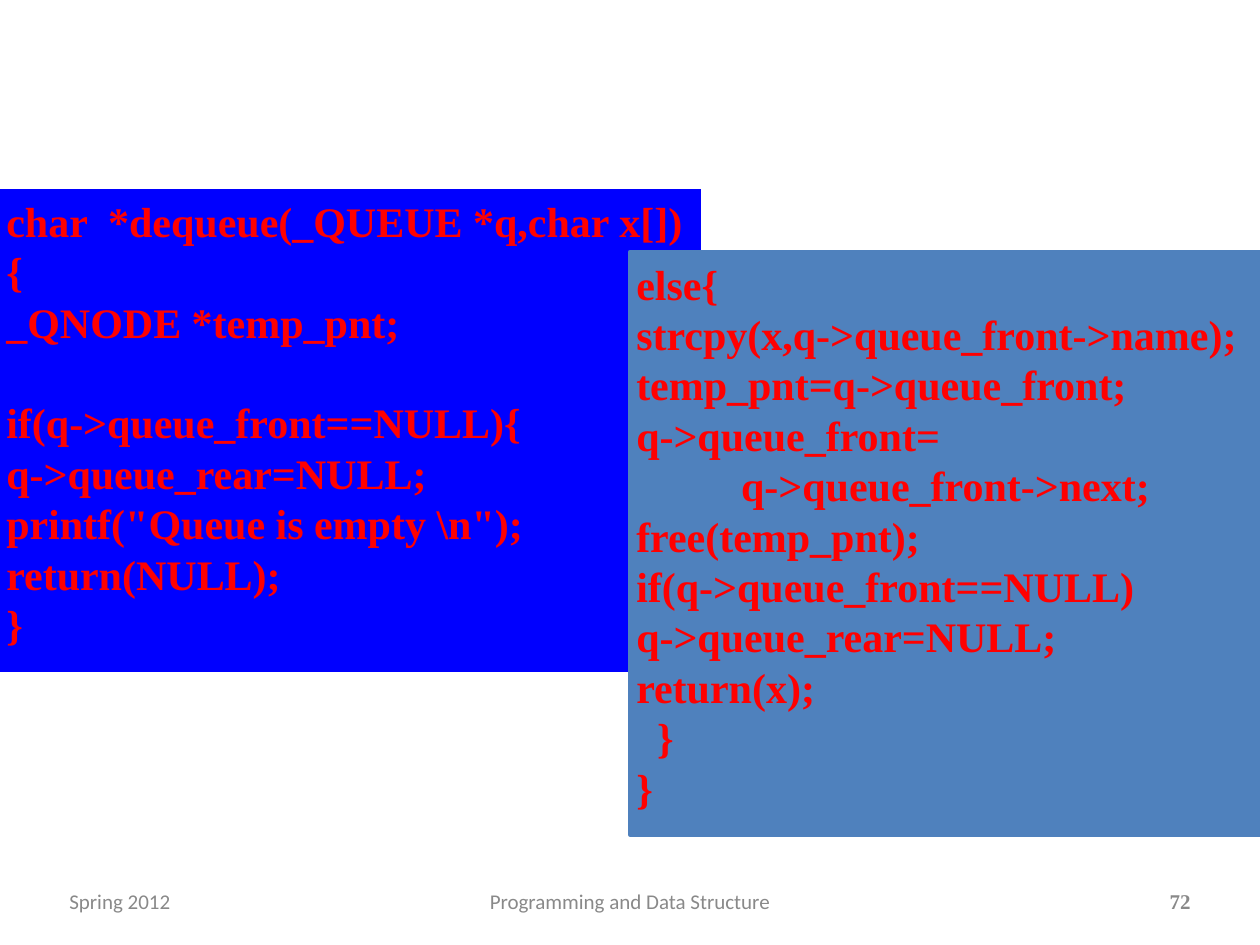
from pptx import Presentation, util as u
from pptx.dml.color import RGBColor
from pptx.enum import shapes, text

Pt = u.Pt
RED = RGBColor(0xFF, 0x00, 0x00)
BLUE = RGBColor(0x00, 0x00, 0xFF)
STEEL = RGBColor(0x4F, 0x81, 0xBD)
GRAY = RGBColor(0x89, 0x89, 0x89)
SERIF, SANS = "Times New Roman", "Calibri"
CODE_SIZE, LINE_PITCH, INSET = 24, 28.8, 3.6
ALIGN, ANCHOR = text.PP_ALIGN, text.MSO_ANCHOR

# Content: an empty string in the code is a one-line gap
DEQUEUE_START = r'''char  *dequeue(_QUEUE *q,char x[])
{
_QNODE *temp_pnt;

if(q->queue_front==NULL){
q->queue_rear=NULL;
printf("Queue is empty \n");
return(NULL);
}'''.split("\n")

DEQUEUE_ELSE = '''else{
strcpy(x,q->queue_front->name);
temp_pnt=q->queue_front;
q->queue_front=
          q->queue_front->next;
free(temp_pnt);
if(q->queue_front==NULL)
q->queue_rear=NULL;
return(x);
  }
}'''.split("\n")

# (left, top, width, height), fill, line width, code
PANELS = [
    ((0, 108, 400.5, 276), BLUE, 0, DEQUEUE_START),
    ((360, 144, 360, 333), STEEL, 2.5, DEQUEUE_ELSE),
]

# text, left, width, alignment, font, bold, wrap
FOOTERS = [
    ("Spring 2012", 36, 168, ALIGN.LEFT, SANS, False, True),
    ("Programming and Data Structure", 246, 228, ALIGN.CENTER, SANS, False, True),
    ("72", 664, 20, ALIGN.RIGHT, SERIF, True, False),
]


def set_frame(frame, anchor, wrap):
    frame.margin_left = frame.margin_right = Pt(INSET)
    frame.margin_top = frame.margin_bottom = Pt(INSET)
    frame.vertical_anchor = anchor
    frame.word_wrap = wrap


def add_span(para, words, font, size, color, bold):
    span = para.add_run()
    span.text = words
    span.font.name, span.font.size, span.font.bold = font, Pt(size), bold
    span.font.color.rgb = color


def add_panel(page, place, fill, line_width, code):
    panel = page.shapes.add_shape(shapes.MSO_SHAPE.RECTANGLE, *map(Pt, place))
    panel.shadow.inherit = False
    panel.fill.solid()
    panel.fill.fore_color.rgb = fill
    if line_width:
        panel.line.color.rgb = fill
        panel.line.width = Pt(line_width)
    else:
        panel.line.fill.background()
    frame = panel.text_frame
    set_frame(frame, ANCHOR.TOP, False)
    gap = 0
    for number, line in enumerate(code):
        if not line:
            gap += LINE_PITCH
            continue
        para = frame.add_paragraph() if number else frame.paragraphs[0]
        para.alignment = ALIGN.LEFT
        para.line_spacing = Pt(LINE_PITCH)
        if gap:
            para.space_before = Pt(gap)
            gap = 0
        add_span(para, line, SERIF, CODE_SIZE, RED, True)


def add_footer(page, words, left, width, align, font, bold, wrap):
    box = page.shapes.add_textbox(Pt(left), Pt(504), Pt(width), Pt(21.5))
    set_frame(box.text_frame, ANCHOR.MIDDLE, wrap)
    para = box.text_frame.paragraphs[0]
    para.alignment = align
    add_span(para, words, font, 12, GRAY, bold)


def main():
    deck = Presentation()
    deck.slide_width, deck.slide_height = Pt(720), Pt(540)
    page = deck.slides.add_slide(deck.slide_layouts[6])
    for footer in FOOTERS:
        add_footer(page, *footer)
    for panel in PANELS:
        add_panel(page, *panel)
    deck.save("out.pptx")


if __name__ == "__main__":
    main()
